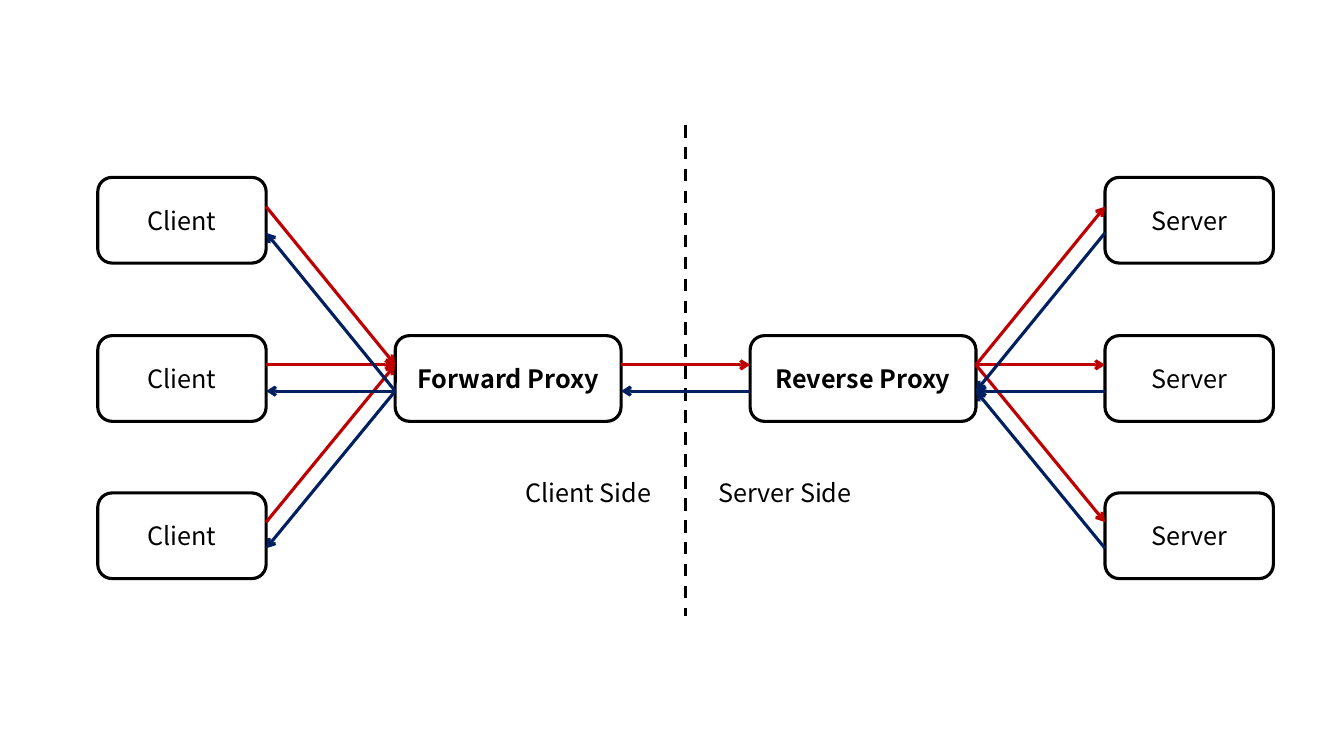
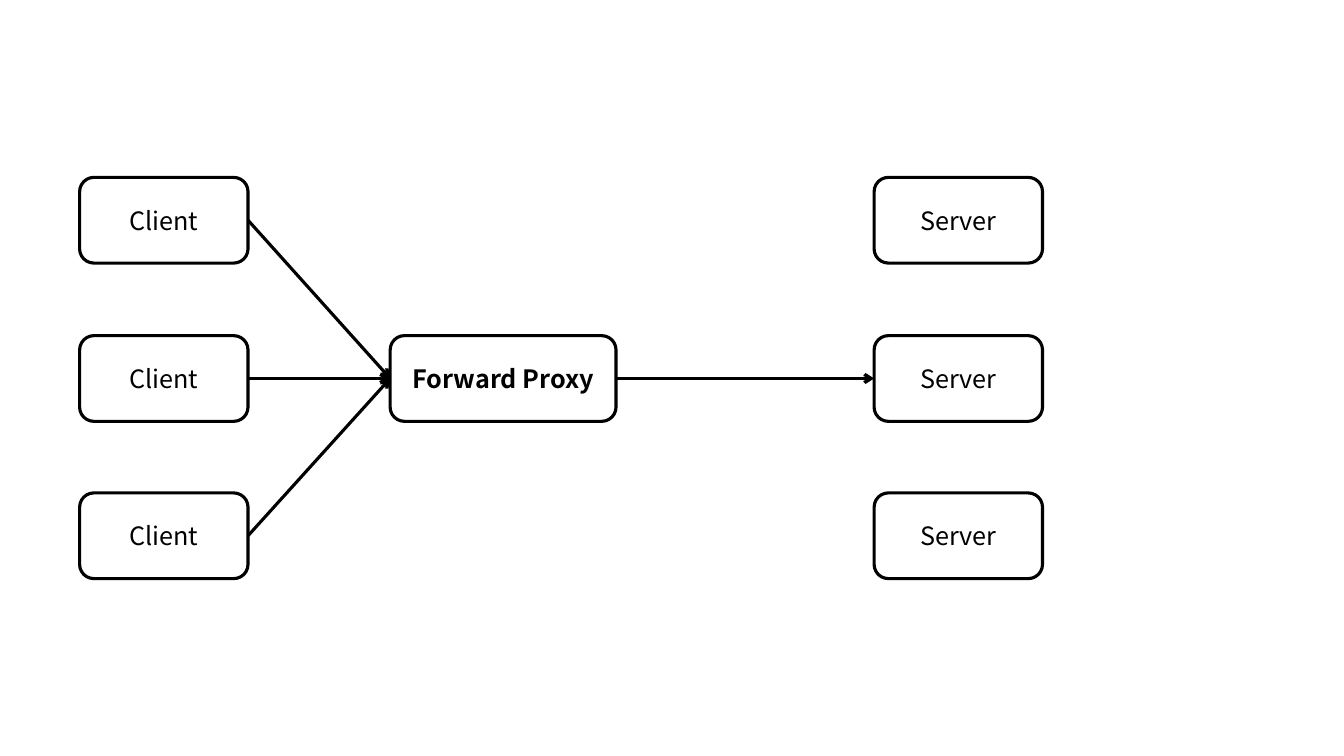
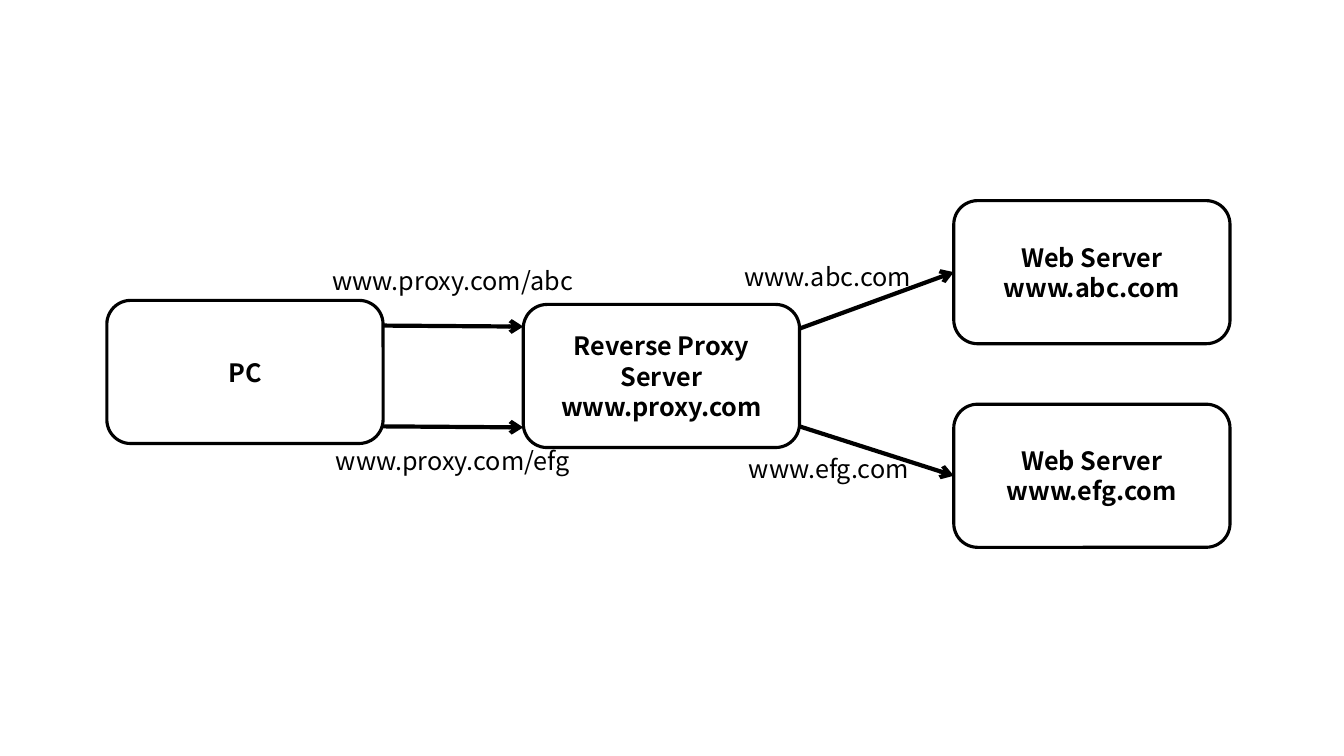
from dataclasses import dataclass
from typing import Optional

from pptx import Presentation
from pptx.dml.color import RGBColor
from pptx.enum.dml import MSO_LINE
from pptx.enum.shapes import MSO_CONNECTOR, MSO_SHAPE
from pptx.enum.text import MSO_ANCHOR, MSO_AUTO_SIZE, PP_ALIGN
from pptx.oxml.ns import qn
from pptx.oxml.xmlchemy import OxmlElement
from pptx.shapes.autoshape import Shape
from pptx.slide import Slide
from pptx.text.text import TextFrame
from pptx.util import Emu, Pt

PX = 9144
FONT = "Noto Sans CJK KR"
BLACK, WHITE, RED, NAVY = "000000", "FFFFFF", "C00000", "002060"
LEFT_SIDE, RIGHT_SIDE = 1, 3
ROWS = (176, 333, 489)
MIDDLE = ROWS[1]
NODE_W, PROXY_W, NODE_H = 167, 224, 85
REQUEST_DY, RESPONSE_DY = 29, 55
SITE_W, SITE_H = 274, 142


@dataclass(frozen=True)
class Box:
    text: str
    x: int
    y: int
    w: int = NODE_W
    h: int = NODE_H
    bold: bool = False


@dataclass(frozen=True)
class Label:
    text: str
    x: int
    y: int
    w: int = 300


@dataclass(frozen=True)
class Line:
    x1: int
    y1: int
    x2: int
    y2: int
    color: str = BLACK
    width: float = 2.25
    arrow: bool = True
    dashed: bool = False


def px(n: int) -> Emu:
    return Emu(n * PX)


def rgb(color: str) -> RGBColor:
    return RGBColor.from_string(color)


def write(tf: TextFrame, text: str, bold: bool = False) -> None:
    tf.text = text
    tf.word_wrap = True
    tf.vertical_anchor = MSO_ANCHOR.MIDDLE
    for p in tf.paragraphs:
        p.alignment = PP_ALIGN.CENTER
        for r in p.runs:
            r.font.name = FONT
            r.font.size = Pt(18)
            r.font.bold = bold
            r.font.color.rgb = rgb(BLACK)


def draw_box(s: Slide, box: Box) -> Shape:
    sp = s.shapes.add_shape(
        MSO_SHAPE.ROUNDED_RECTANGLE, px(box.x), px(box.y), px(box.w), px(box.h)
    )
    sp.shadow.inherit = False
    sp.fill.solid()
    sp.fill.fore_color.rgb = rgb(WHITE)
    sp.line.color.rgb = rgb(BLACK)
    sp.line.width = Pt(2.25)
    write(sp.text_frame, box.text, box.bold)
    return sp


def draw_label(s: Slide, label: Label) -> None:
    sp = s.shapes.add_textbox(px(label.x), px(label.y), px(label.w), px(40))
    write(sp.text_frame, label.text)
    sp.text_frame.auto_size = MSO_AUTO_SIZE.SHAPE_TO_FIT_TEXT


def draw_line(
    s: Slide, line: Line, begin: Optional[Shape] = None, end: Optional[Shape] = None
) -> None:
    c = s.shapes.add_connector(
        MSO_CONNECTOR.STRAIGHT, px(line.x1), px(line.y1), px(line.x2), px(line.y2)
    )
    if begin is not None:
        c.begin_connect(begin, RIGHT_SIDE)
    if end is not None:
        c.end_connect(end, LEFT_SIDE)
    c.line.color.rgb = rgb(line.color)
    c.line.width = Pt(line.width)
    if line.dashed:
        c.line.dash_style = MSO_LINE.DASH
    spPr = c.element.spPr
    if line.arrow:
        tail = OxmlElement("a:tailEnd")
        tail.set("type", "arrow")
        spPr.find(qn("a:ln")).append(tail)
    spPr.append(OxmlElement("a:effectLst"))


def join(s: Slide, begin: Shape, end: Shape) -> None:
    draw_line(s, Line(0, 0, 0, 0), begin, end)


def draw_column(s: Slide, text: str, x: int) -> list[Shape]:
    return [draw_box(s, Box(text, x, y)) for y in ROWS]


def draw_proxy(s: Slide, text: str, x: int) -> Shape:
    return draw_box(s, Box(text, x, MIDDLE, PROXY_W, bold=True))


def build_both_proxies(s: Slide) -> None:
    client_x, forward_x, reverse_x, server_x = 97, 392, 744, 1096
    draw_column(s, "Client", client_x)
    draw_proxy(s, "Forward Proxy", forward_x)
    draw_proxy(s, "Reverse Proxy", reverse_x)
    draw_column(s, "Server", server_x)
    links = [(client_x + NODE_W, y, forward_x, MIDDLE) for y in ROWS]
    links += [(forward_x + PROXY_W, MIDDLE, reverse_x, MIDDLE)]
    links += [(reverse_x + PROXY_W, MIDDLE, server_x, y) for y in ROWS]
    for x1, y1, x2, y2 in links:
        draw_line(s, Line(x1, y1 + REQUEST_DY, x2, y2 + REQUEST_DY, RED))
    draw_label(s, Label("Client Side", 455, 469, 257))
    draw_label(s, Label("Server Side", 650, 469, 257))
    draw_line(s, Line(680, 124, 680, 611, arrow=False, dashed=True))
    for x1, y1, x2, y2 in links:
        draw_line(s, Line(x2, y2 + RESPONSE_DY, x1, y1 + RESPONSE_DY, NAVY))


def build_forward_proxy(s: Slide) -> None:
    clients = draw_column(s, "Client", 79)
    proxy = draw_proxy(s, "Forward Proxy", 387)
    servers = draw_column(s, "Server", 867)
    for client in clients:
        join(s, client, proxy)
    join(s, proxy, servers[1])


def build_reverse_proxy(s: Slide) -> None:
    pc_x, proxy_x, web_x = 106, 519, 946
    draw_box(s, Box("PC", pc_x, 298, SITE_W, SITE_H, True))
    draw_box(
        s,
        Box("Reverse Proxy Server\nwww.proxy.com", proxy_x, 302, SITE_W, SITE_H, True),
    )
    for y in (323, 423):
        draw_line(s, Line(pc_x + SITE_W, y, proxy_x, y + 1, width=3))
    for site, y, start_y in (("abc", 199, 326), ("efg", 401, 423)):
        text = f"Web Server\nwww.{site}.com"
        web = draw_box(s, Box(text, web_x, y, SITE_W, SITE_H, True))
        start_x = proxy_x + SITE_W
        draw_line(
            s, Line(start_x, start_y, web_x, y + SITE_H // 2, width=3), end=web
        )
    for label in (
        Label("www.proxy.com/abc", 299, 258),
        Label("www.proxy.com/efg", 299, 437),
        Label("www.abc.com", 671, 254),
        Label("www.efg.com", 672, 445),
    ):
        draw_label(s, label)


def main() -> None:
    prs = Presentation()
    prs.slide_width, prs.slide_height = px(1333), px(750)
    for build in (build_both_proxies, build_forward_proxy, build_reverse_proxy):
        build(prs.slides.add_slide(prs.slide_layouts[6]))
    prs.save("out.pptx")


if __name__ == "__main__":
    main()
